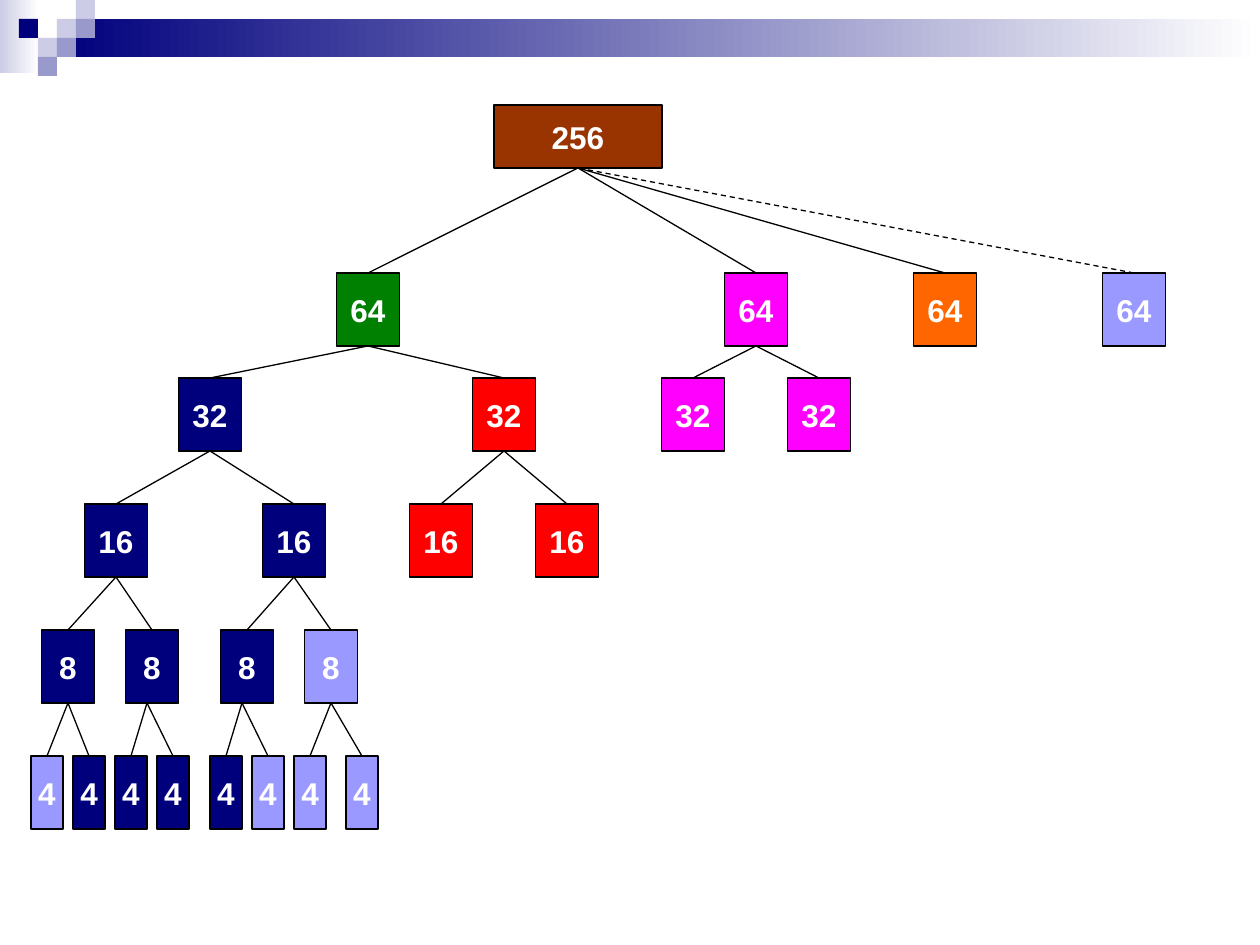
import pptx
import pptx.util
import pptx.dml.color
import pptx.enum.dml
import pptx.enum.shapes
import pptx.enum.text
import pptx.oxml
import pptx.oxml.ns
from dataclasses import dataclass

SCALE = 914400 / 126


@dataclass(frozen=True)
class Theme:
    font: str = "Arial"
    size: int = 18
    rule: float = 0.75
    white: str = "FFFFFF"
    black: str = "000000"
    navy: str = "00007D"
    pale: str = "CCCCE6"
    mid: str = "9999CC"
    free: str = "9999FF"
    brown: str = "993300"
    green: str = "008000"
    red: str = "FF0000"
    pink: str = "FF00FF"
    orange: str = "FF6600"


THEME = Theme()


def px(size):
    return pptx.util.Emu(round(size * SCALE))


def rgb(code):
    return pptx.dml.color.RGBColor.from_string(code)


def rect(slide, left, top, width, height, fill, fade=None, line=None):
    shape = slide.shapes.add_shape(
        pptx.enum.shapes.MSO_SHAPE.RECTANGLE, px(left), px(top), px(width), px(height))
    shape.shadow.inherit = False
    if fade:
        shape.fill.gradient()
        shape.fill.gradient_angle = 0
        for stop, code, place in zip(shape.fill.gradient_stops, (fill, fade), (0, 1)):
            stop.color.rgb = rgb(code)
            stop.position = place
    else:
        shape.fill.solid()
        shape.fill.fore_color.rgb = rgb(fill)
    if line:
        shape.line.color.rgb = rgb(line)
        shape.line.width = pptx.util.Pt(THEME.rule)
    else:
        shape.line.fill.background()
    return shape


def text(shape, words, size=THEME.size, color=THEME.white, bold=True):
    frame = shape.text_frame
    frame.word_wrap = False
    frame.vertical_anchor = pptx.enum.text.MSO_ANCHOR.MIDDLE
    para = frame.paragraphs[0]
    para.alignment = pptx.enum.text.PP_ALIGN.CENTER
    run = para.add_run()
    run.text = words
    run.font.name = THEME.font
    run.font.size = pptx.util.Pt(size)
    run.font.bold = bold
    run.font.color.rgb = rgb(color)


def link(slide, start, end, dashed=False):
    line = slide.shapes.add_connector(
        pptx.enum.shapes.MSO_CONNECTOR.STRAIGHT, *map(px, start + end))
    line.line.color.rgb = rgb(THEME.black)
    line.line.width = pptx.util.Pt(THEME.rule)
    if dashed:
        line.line.dash_style = pptx.enum.dml.MSO_LINE.DASH
    props = line._element.spPr
    props.append(pptx.oxml.parse_xml(
        "<a:effectLst %s/>" % pptx.oxml.ns.nsdecls("a")))


def banner(slide, left, top, width):
    tile = 19
    rect(slide, left, top, 39, 73, THEME.pale, fade=THEME.white)
    rect(slide, left + 3 * tile, top + tile, width - 3 * tile, 2 * tile,
         THEME.navy, fade=THEME.white)
    tiles = [(3, 1, THEME.pale), (4, 0, THEME.pale), (4, 1, THEME.mid),
             (2, 2, THEME.pale), (1, 1, THEME.navy), (3, 2, THEME.mid),
             (2, 3, THEME.mid)]
    for col, row, fill in tiles:
        rect(slide, left + col * tile, top + row * tile, tile, tile, fill)


@dataclass(frozen=True)
class Node:
    mid: int
    fill: str
    kids: tuple = ()
    shift: int = 0
    dashed: bool = False


LEVELS = [
    ("256", 0, 168, 63),
    ("64", 168, 63, 73),
    ("32", 273, 63, 73),
    ("16", 399, 63, 73),
    ("8", 525, 53, 73),
    ("4", 651, 32, 73),
]

EIGHTS = (
    Node(37, THEME.navy, (Node(16, THEME.free), Node(58, THEME.navy))),
    Node(121, THEME.navy, (Node(100, THEME.navy), Node(142, THEME.navy)), shift=-5),
    Node(216, THEME.navy, (Node(195, THEME.navy), Node(237, THEME.free)), shift=-5),
    Node(300, THEME.free, (Node(279, THEME.free), Node(331, THEME.free))),
)
BLUE = Node(179, THEME.navy, (
    Node(85, THEME.navy, EIGHTS[:2]), Node(263, THEME.navy, EIGHTS[2:])))
RED = Node(473, THEME.red, (Node(410, THEME.red), Node(536, THEME.red)))
PINK = Node(725, THEME.pink, (Node(662, THEME.pink), Node(788, THEME.pink)))
ROOT = Node(547, THEME.brown, (
    Node(337, THEME.green, (BLUE, RED)), PINK,
    Node(914, THEME.orange), Node(1103, THEME.free, dashed=True)))


def tree(slide, left, top, node, depth=0):
    label, drop, width, height = LEVELS[depth]
    box = rect(slide, left + node.mid - width / 2, top + drop, width, height,
               node.fill, line=THEME.black)
    text(box, label)
    joint = (left + node.mid + node.shift, top + drop + height)
    for kid in node.kids:
        tree(slide, left, top, kid, depth + 1)
        link(slide, (left + kid.mid, top + LEVELS[depth + 1][1]), joint, kid.dashed)


def main():
    deck = pptx.Presentation()
    deck.slide_width, deck.slide_height = px(1260), px(945)
    slide = deck.slides.add_slide(deck.slide_layouts[6])
    banner(slide, 0, 0, 1260)
    tree(slide, 31, 105, ROOT)
    deck.save("out.pptx")


if __name__ == "__main__":
    main()
